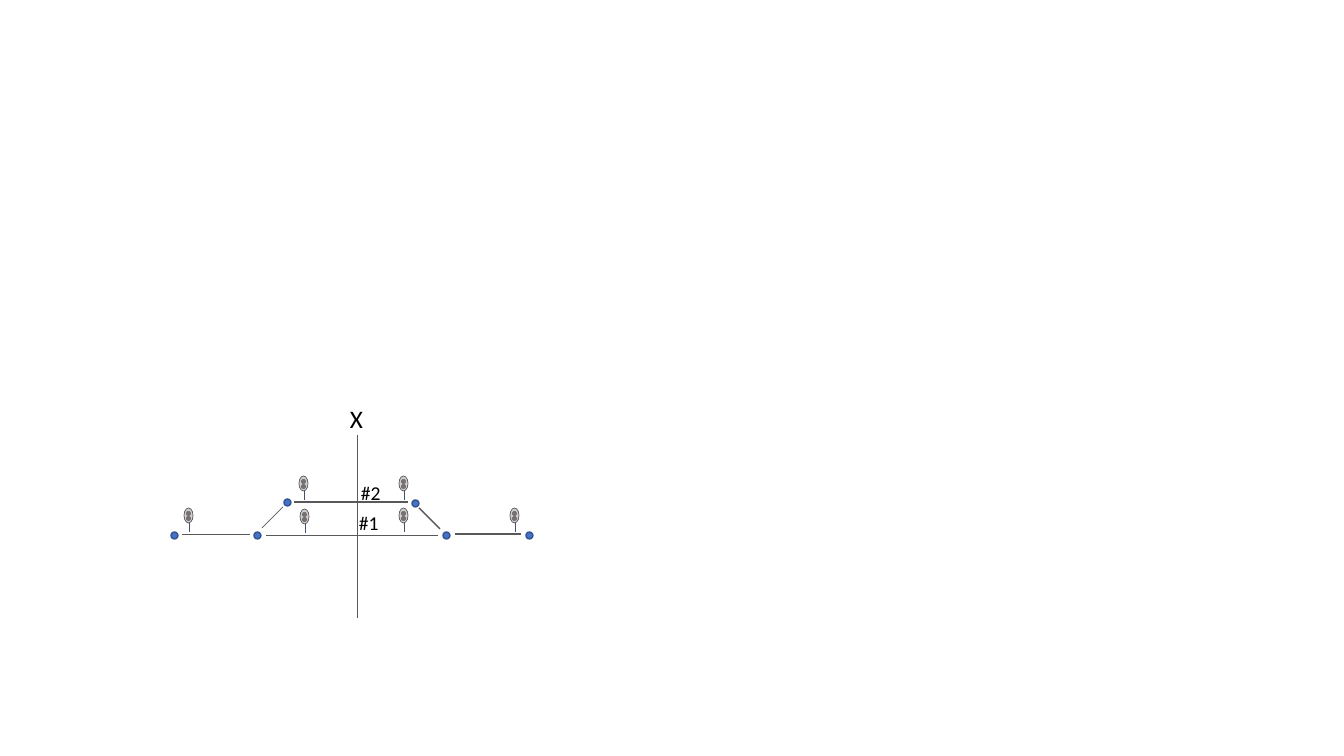
"""Draws a track diagram with two routes, signals and a crossing axis."""
from lxml.etree import SubElement
from pptx import Presentation
from pptx.dml.color import RGBColor
from pptx.enum.shapes import MSO_CONNECTOR, MSO_SHAPE
from pptx.enum.text import MSO_AUTO_SIZE
from pptx.oxml.ns import qn
from pptx.util import Emu, Pt

WIDTH, HEIGHT = 1344, 756
SCALE = 12192000 / WIDTH
BLACK = RGBColor(0x00, 0x00, 0x00)
GRAY = RGBColor(0x59, 0x59, 0x59)
SLATE = RGBColor(0x44, 0x54, 0x6A)
BLUE = RGBColor(0x44, 0x72, 0xC4)
NAVY = RGBColor(0x32, 0x54, 0x91)
SILVER = RGBColor(0xD0, 0xCE, 0xCE)
LAMP = RGBColor(0x76, 0x71, 0x71)


def px(*lengths):
    """Turns pixel lengths into EMU."""
    return [Emu(round(length * SCALE)) for length in lengths]


class TrackPlan:
    """Holds the text style and the current slide."""

    def __init__(self, deck, font_name):
        """Adds a blank page to the deck."""
        self.page = deck.slides.add_slide(deck.slide_layouts[6])
        self.font_name = font_name

    def line(self, start, end, color=GRAY, weight=0.5, shapes=None):
        """Draws a straight line between two points."""
        shapes = shapes or self.page.shapes
        connector = shapes.add_connector(MSO_CONNECTOR.STRAIGHT, *px(*start, *end))
        connector.line.color.rgb = color
        connector.line.width = Pt(weight)
        SubElement(connector._element.spPr, qn("a:effectLst"))

    def ellipse(self, left, top, width, height, fill, outline=None, weight=1, shapes=None):
        """Draws a filled ellipse, with an outline if a colour is given."""
        shapes = shapes or self.page.shapes
        oval = shapes.add_shape(MSO_SHAPE.OVAL, *px(left, top, width, height))
        oval.shadow.inherit = False
        oval.fill.solid()
        oval.fill.fore_color.rgb = fill
        if outline is None:
            oval.line.fill.background()
        else:
            oval.line.color.rgb = outline
            oval.line.width = Pt(weight)

    def node(self, left, top):
        """Draws a track node."""
        self.ellipse(left, top, 7, 7, BLUE, NAVY)

    def signal(self, left, top):
        """Draws a grouped signal with a post and two lamps."""
        shapes = self.page.shapes.add_group_shape().shapes
        self.ellipse(left, top, 9, 15, SILVER, GRAY, 0.5, shapes)
        self.line((left + 5, top + 15), (left + 5, top + 24), SLATE, shapes=shapes)
        for drop in (3, 8):
            self.ellipse(left + 2, top + drop, 5, 5, LAMP, shapes=shapes)

    def label(self, text, left, top, width, height, size):
        """Adds an unwrapped text label."""
        box = self.page.shapes.add_textbox(*px(left, top, width, height))
        frame = box.text_frame
        frame.word_wrap = False
        frame.auto_size = MSO_AUTO_SIZE.SHAPE_TO_FIT_TEXT
        span = frame.paragraphs[0].add_run()
        span.text = text
        for name, value in {"name": self.font_name, "size": Pt(size)}.items():
            setattr(span.font, name, value)
        span.font.color.rgb = BLACK


def main():
    """Builds and saves the slide."""
    deck = Presentation()
    deck.slide_width, deck.slide_height = px(WIDTH, HEIGHT)
    plan = TrackPlan(deck, "Calibri")

    tracks = [
        ((182, 534), (250, 534), 0.5),
        ((266, 535), (438, 535), 0.5),
        ((455, 534), (521, 534), 1),
        ((262, 528), (283, 507), 0.5),
        ((294, 502), (408, 502), 1),
        ((440, 529), (419, 508), 1),
    ]
    for start, end, weight in tracks:
        plan.line(start, end, weight=weight)
    for left in (171, 254, 443, 526):
        plan.node(left, 532)
    plan.node(284, 499)
    plan.node(412, 500)
    for left, top in [(184, 508), (399, 476), (399, 508), (510, 508), (299, 476), (300, 509)]:
        plan.signal(left, top)
    plan.label("#2", 351, 476, 40, 34, 14)
    plan.label("#1", 349, 506, 40, 34, 14)
    plan.label("X", 340, 398, 33, 40, 18)
    plan.line((357, 435), (357, 618))

    deck.save("out.pptx")


if __name__ == "__main__":
    main()
